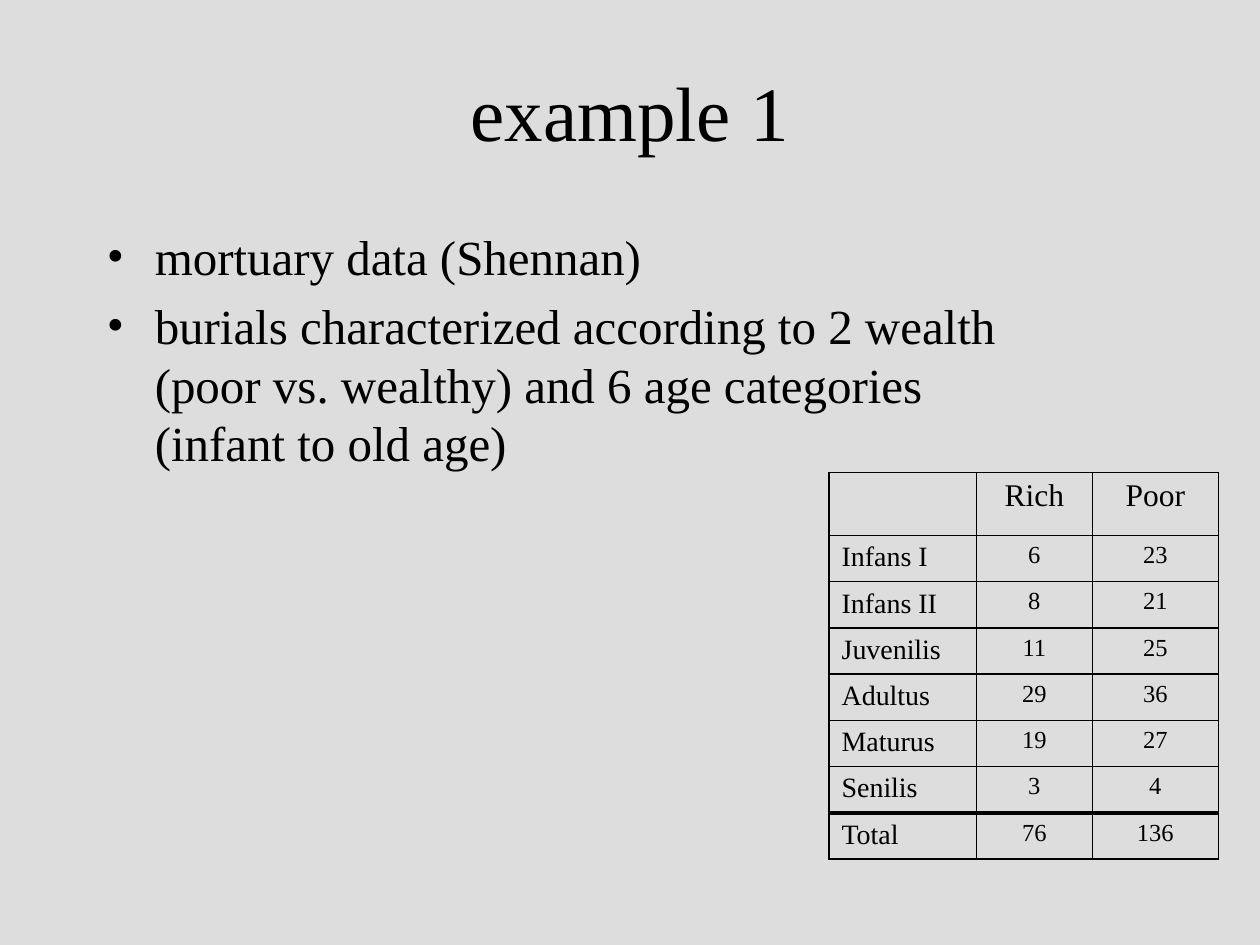
from typing import NamedTuple

from lxml.etree import SubElement
from pptx import Presentation
from pptx.dml.color import RGBColor
from pptx.enum.text import MSO_ANCHOR as Anchor, PP_ALIGN as Align
from pptx.oxml.ns import qn
from pptx.util import Inches, Pt

BLACK = RGBColor(0, 0, 0)
GREY = RGBColor(0xDD, 0xDD, 0xDD)
FONT = "Times New Roman"


class Row(NamedTuple):
    label: str
    rich: str
    poor: str


class Box(NamedTuple):
    left: float
    top: float
    width: float
    height: float


HEAD = Row("", "Rich", "Poor")
AGES = [
    Row("Infans I", "6", "23"),
    Row("Infans II", "8", "21"),
    Row("Juvenilis", "11", "25"),
    Row("Adultus", "29", "36"),
    Row("Maturus", "19", "27"),
    Row("Senilis", "3", "4"),
]
TOTAL = Row("Total", "76", "136")
ROWS = [HEAD, *AGES, TOTAL]
WIDTHS = [1.17, 0.92, 1]
POINTS = [
    "mortuary data (Shennan)",
    "burials characterized according to 2 wealth (poor vs. wealthy) "
    "and 6 age categories (infant to old age)",
]


def style(para, size: float, align: Align) -> None:
    para.alignment = align
    for run in para.runs:
        run.font.name = FONT
        run.font.size = Pt(size)
        run.font.color.rgb = BLACK


def add_text(slide, box: Box, lines: list[str], size: float, align: Align):
    frame = slide.shapes.add_textbox(*map(Inches, box)).text_frame
    frame.word_wrap = True
    frame.text = "\n".join(lines)
    for para in frame.paragraphs:
        style(para, size, align)
    return frame


def add_bullet(para, size: float) -> None:
    para.space_before = Pt(size * 0.2)
    props = para._p.get_or_add_pPr()
    props.set("marL", str(Inches(0.38)))
    props.set("indent", str(-Inches(0.38)))
    SubElement(props, qn("a:buFont"), typeface=FONT)
    SubElement(props, qn("a:buChar"), char="•")


def add_edge(cell, side: str, width: float) -> None:
    props = cell._tc.get_or_add_tcPr()
    line = SubElement(props, qn(f"a:ln{side}"), w=str(Pt(width)))
    fill = SubElement(line, qn("a:solidFill"))
    SubElement(fill, qn("a:srgbClr"), val=str(BLACK))


def add_grid(slide, box: Box) -> None:
    table = slide.shapes.add_table(len(ROWS), len(WIDTHS), *map(Inches, box)).table
    table.first_row = table.horz_banding = False
    for col, width in zip(table.columns, WIDTHS):
        col.width = Inches(width)
    last = len(ROWS) - 1
    for i, row in enumerate(ROWS):
        table.rows[i].height = Inches(0.33 if i else 0.5)
        edges = {
            "L": 1,
            "R": 1,
            "T": 3 if i == last else 1,
            "B": 3 if i == last - 1 else 1,
        }
        for j, text in enumerate(row):
            cell = table.cell(i, j)
            cell.text_frame.text = text
            size = 18 if i == 0 else 14 if j else 16
            style(cell.text_frame.paragraphs[0], size, Align.CENTER if j else Align.LEFT)
            for side, width in edges.items():
                add_edge(cell, side, width)
            cell.fill.background()


def main() -> None:
    """Build the slide on mortuary data and save it."""
    deck = Presentation()
    deck.slide_width, deck.slide_height = Inches(10), Inches(7.5)
    slide = deck.slides.add_slide(deck.slide_layouts[6])
    back = slide.background.fill
    back.solid()
    back.fore_color.rgb = GREY

    title = add_text(slide, Box(0.75, 0.25, 8.5, 1.25), ["example 1"], 44, Align.CENTER)
    title.vertical_anchor = Anchor.MIDDLE
    body = add_text(slide, Box(0.75, 1.75, 7.75, 2.33), POINTS, 28, Align.LEFT)
    for para in body.paragraphs:
        add_bullet(para, 28)
    add_grid(slide, Box(6.58, 3.75, 3.09, 2.81))
    deck.save("out.pptx")


if __name__ == "__main__":
    main()
